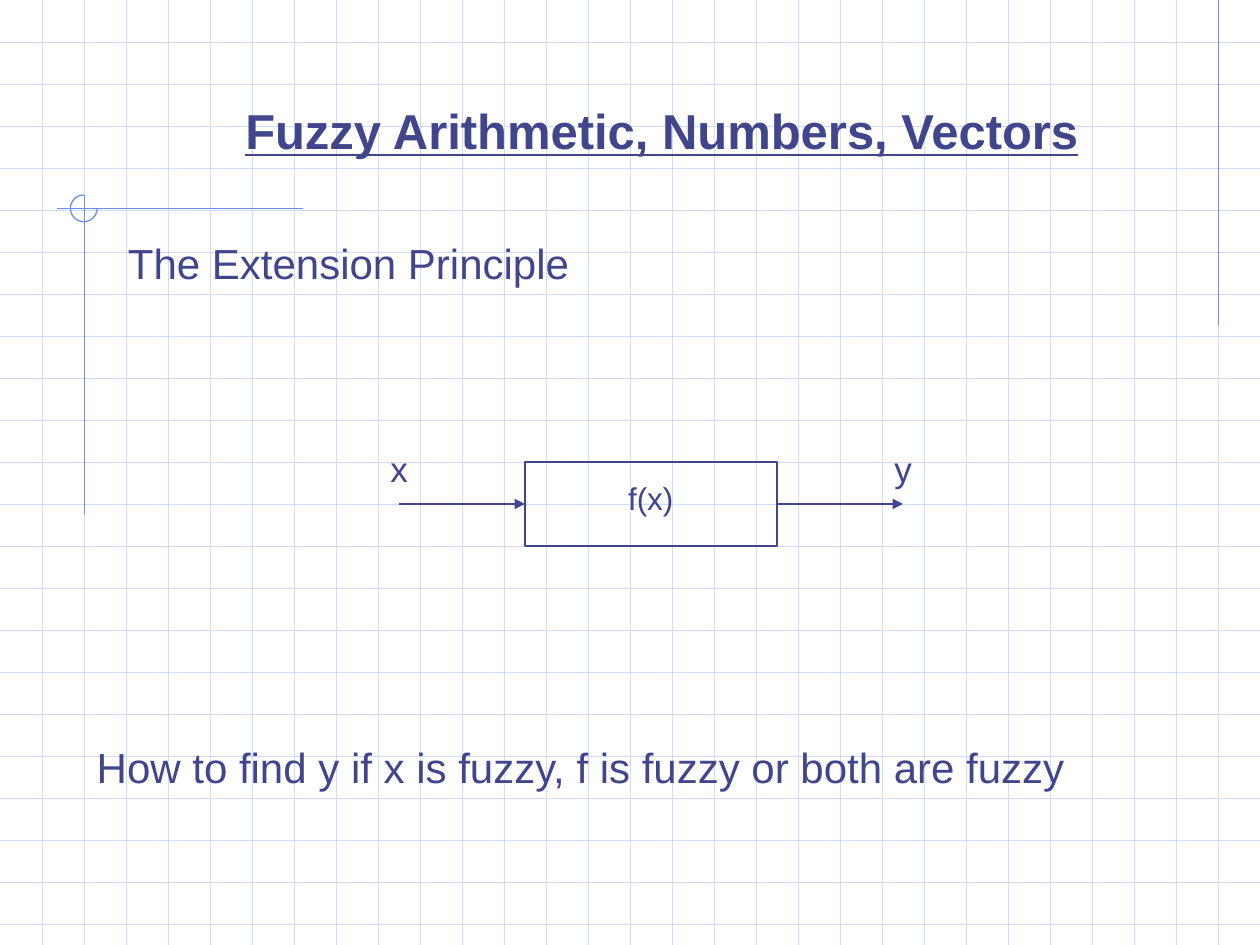
from lxml.etree import SubElement
from pptx import Presentation
from pptx.dml.color import RGBColor
from pptx.enum.shapes import MSO_CONNECTOR as Link, MSO_SHAPE as Shape
from pptx.enum.text import MSO_ANCHOR as Anchor, PP_ALIGN as Align
from pptx.oxml.ns import qn
from pptx.util import Cm, Pt

WIDTH, HEIGHT = 25.4, 19.05
STEP = WIDTH / 30
GRID_SHIFT = 0.01
INK, GRID, ACCENT = "40458C", "CFDBFD", "6F89F7"


def paint(color_format, color):
    color_format.rgb = RGBColor.from_string(color)


def style_line(shape, color):
    paint(shape.line.color, color)
    shape.line.width = Pt(0.75)


def add_line(slide, start, end, color):
    line = slide.shapes.add_connector(Link.STRAIGHT, *map(Cm, (*start, *end)))
    style_line(line, color)
    SubElement(line._element.spPr, qn("a:effectLst"))
    return line


def add_arrow(slide, start, end):
    arrow = add_line(slide, start, end, INK)
    SubElement(arrow.line._get_or_add_ln(), qn("a:tailEnd"), type="triangle")
    return arrow


def add_outline(slide, preset, left, top, width, height, color):
    outline = slide.shapes.add_shape(preset, *map(Cm, (left, top, width, height)))
    outline.shadow.inherit = False
    outline.fill.background()
    style_line(outline, color)
    return outline


def write(shape, text, size, align, tab=None, bold=False, underline=False):
    frame = shape.text_frame
    frame.text = text
    frame.word_wrap = True
    frame.vertical_anchor = Anchor.TOP
    paragraph = frame.paragraphs[0]
    paragraph.alignment = align
    if tab:
        stops = SubElement(paragraph._p.get_or_add_pPr(), qn("a:tabLst"))
        SubElement(stops, qn("a:tab"), pos=str(Cm(tab)), algn="l")
    for run in paragraph.runs:
        font = run.font
        font.name, font.size = "Arial", Pt(size)
        font.bold, font.underline = bold, underline
        paint(font.color, INK)


def add_text(slide, text, left, top, width, height, size, align=Align.LEFT, tab=None):
    box = slide.shapes.add_textbox(*map(Cm, (left, top, width, height)))
    write(box, text, size, align, tab)


def add_title(slide, text):
    """Fill the title placeholder and lift it above the grid."""
    title = slide.shapes.title
    title.left, title.top, title.width, title.height = map(Cm, (3.18, 1.9, 20.32, 1.45))
    write(title, text, 28, Align.CENTER, bold=True, underline=True)
    title._element.getparent().append(title._element)


def draw_graph_paper(slide):
    for row in range(1, 23):
        y = row * STEP + GRID_SHIFT
        add_line(slide, (0, y), (WIDTH, y), GRID)
    for column in range(1, 30):
        x = column * STEP + GRID_SHIFT
        add_line(slide, (x, 0), (x, HEIGHT), GRID)


def draw_corner_marks(slide):
    right, left = 29 * STEP + GRID_SHIFT, 2 * STEP + GRID_SHIFT
    add_line(slide, (right, 0), (right, 6.55), ACCENT)
    add_line(slide, (6.1, 4.2), (1.15, 4.2), ACCENT)
    add_line(slide, (left, 3.93), (left, 10.39), ACCENT)
    ring = add_outline(slide, Shape.ARC, 1.42, 3.93, 0.54, 0.54, ACCENT)
    ring.adjustments[0] = 0
    ring.adjustments[1] = 162  # 270 degrees


def draw_function_diagram(slide):
    left, right, middle, arm = 12.5 * STEP, 18.5 * STEP, 12 * STEP, 3 * STEP
    function = add_outline(slide, Shape.RECTANGLE, left, middle - STEP,
                           right - left, 2 * STEP, INK)
    add_arrow(slide, (left - arm, middle), (left, middle)).end_connect(function, 1)
    add_arrow(slide, (right, middle), (right + arm, middle)).begin_connect(function, 3)
    add_text(slide, "f(x)", 11.64, 9.53, 2.96, 1.02, 18, Align.CENTER)
    add_text(slide, "x\ty", 7.62, 8.89, 11.86, 1.12, 20, tab=10.16)


def main():
    deck = Presentation()
    deck.slide_width, deck.slide_height = Cm(WIDTH), Cm(HEIGHT)
    slide = deck.slides.add_slide(deck.slide_layouts[5])
    draw_graph_paper(slide)
    draw_corner_marks(slide)
    add_title(slide, "Fuzzy Arithmetic, Numbers, Vectors")
    add_text(slide, "The Extension Principle", 2.33, 4.66, 9.74, 1.27, 24)
    draw_function_diagram(slide)
    add_text(slide, "How to find y if x is fuzzy, f is fuzzy or both are fuzzy",
             1.7, 14.82, 21.17, 1.27, 24)
    deck.save("out.pptx")


if __name__ == "__main__":
    main()
